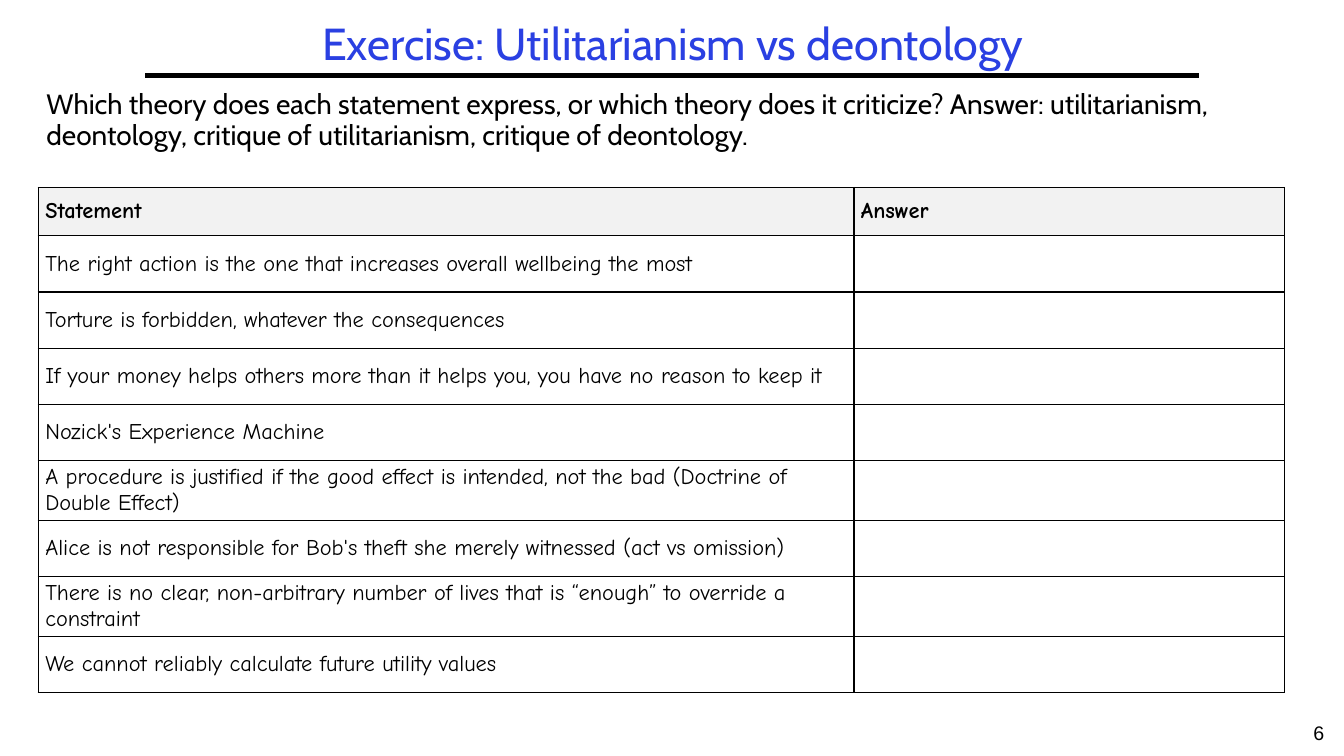
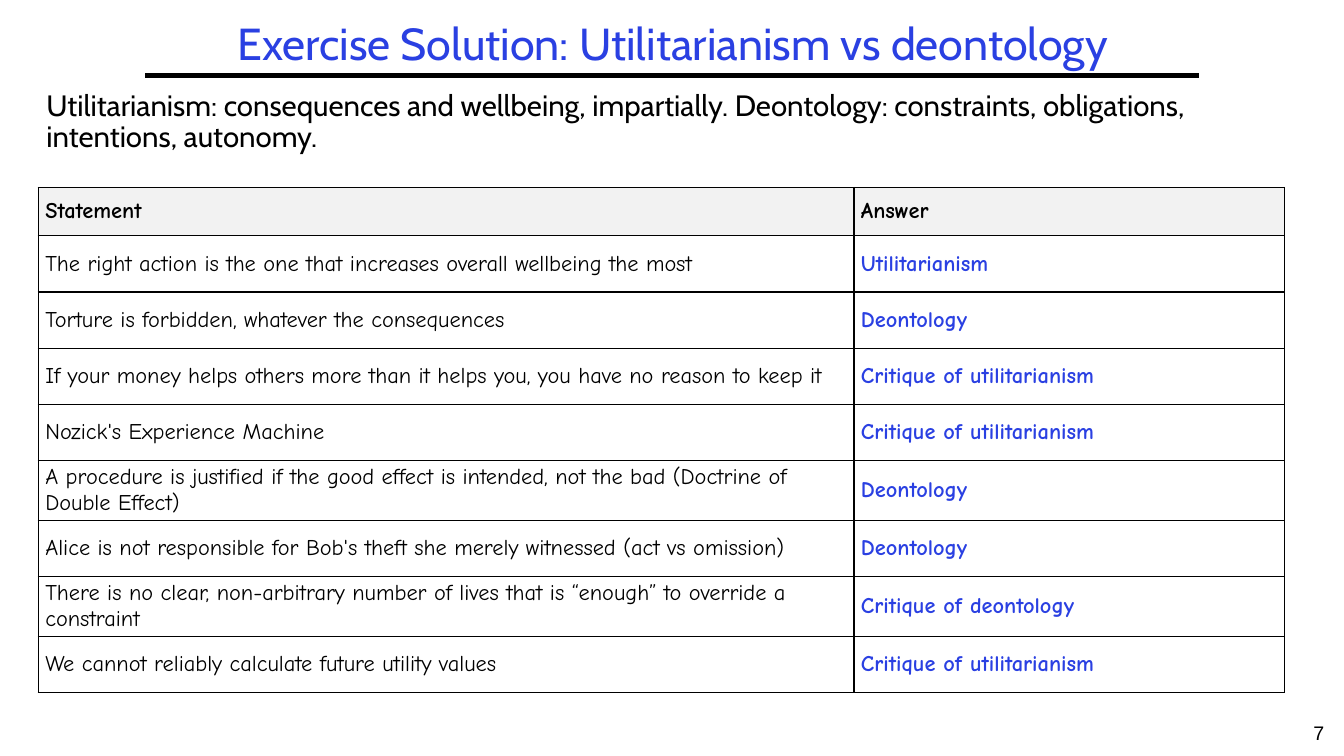
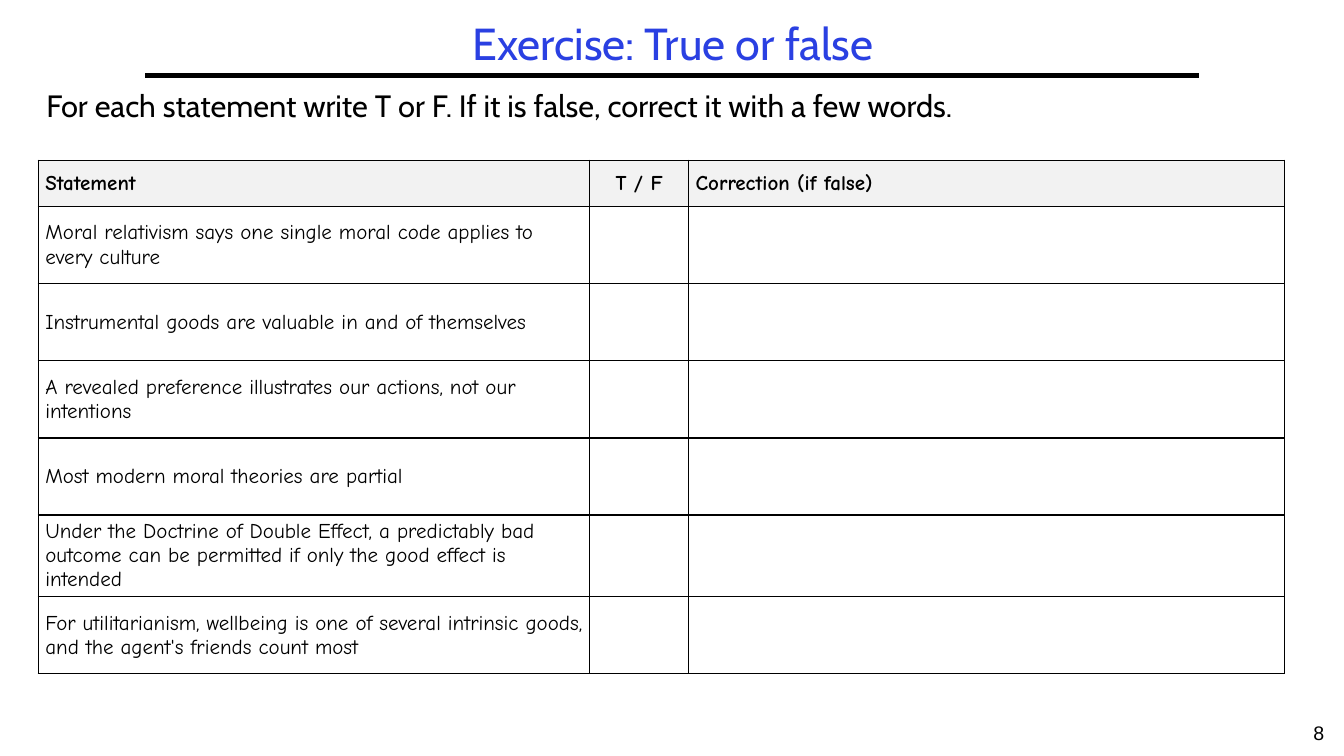
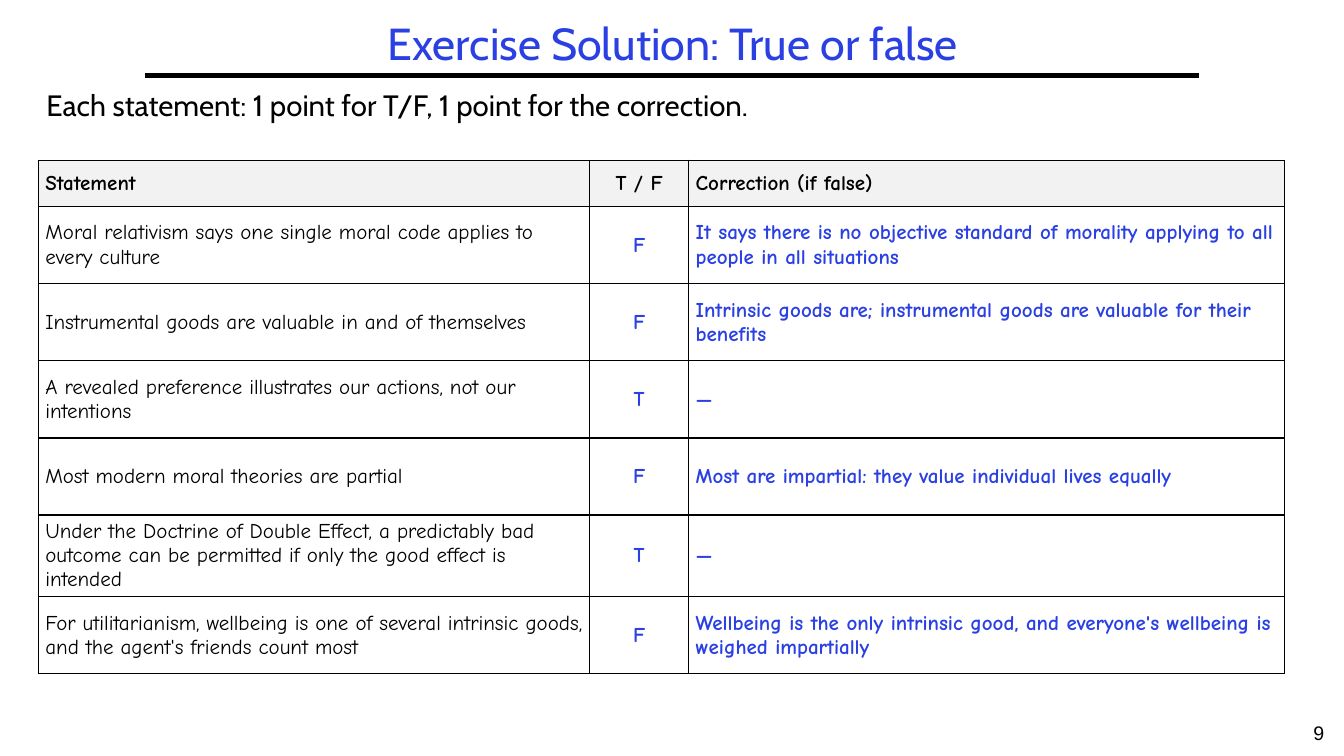
from lxml.etree import SubElement
from pptx import Presentation
from pptx.dml.color import RGBColor
from pptx.enum.shapes import MSO_CONNECTOR
from pptx.enum.text import MSO_ANCHOR, MSO_AUTO_SIZE, PP_ALIGN
from pptx.oxml.ns import qn
from pptx.util import Inches, Pt

COLORS = {"ink": "000000", "accent": "2A40E2", "header": "F2F2F2"}
FONTS = {"main": "Cabin", "table": "Comic Neue", "page": "Arial"}
FIRST_PAGE = 6


class Deck:
    """Holds the shared style and the current slide."""

    def __init__(self):
        self.prs = Presentation()
        self.prs.slide_width = Inches(13.33)
        self.prs.slide_height = Inches(7.5)
        self.slide = None

    def color(self, key):
        return RGBColor.from_string(COLORS[key])

    def place(self, shape, left, top, width, height):
        shape.left, shape.top = Inches(left), Inches(top)
        shape.width, shape.height = Inches(width), Inches(height)

    def add_text(self, paragraph, text, size, font, color="ink", bold=False,
                 align=PP_ALIGN.LEFT):
        paragraph.alignment = align
        run = paragraph.add_run()
        run.text = text
        run.font.size = Pt(size)
        run.font.name = FONTS[font]
        run.font.bold = bold
        run.font.color.rgb = self.color(color)

    def new_slide(self, title):
        self.slide = self.prs.slides.add_slide(self.prs.slide_layouts[1])
        self.title(title)
        self.title_rule()
        self.page_number(FIRST_PAGE + len(self.prs.slides) - 1)

    def title(self, text):
        heading = self.slide.shapes.title
        self.place(heading, 1.44, 0.17, 10.47, 0.58)
        frame = heading.text_frame
        frame.auto_size = MSO_AUTO_SIZE.NONE
        frame.vertical_anchor = MSO_ANCHOR.MIDDLE
        frame.paragraphs[0].line_spacing = 0.9
        self.add_text(frame.paragraphs[0], text, 32, "main", "accent", align=PP_ALIGN.CENTER)

    def title_rule(self):
        rule = self.slide.shapes.add_connector(
            MSO_CONNECTOR.STRAIGHT, Inches(1.44), Inches(0.75), Inches(11.89), Inches(0.75))
        rule.line.color.rgb = self.color("ink")
        rule.line.width = Pt(3)
        SubElement(rule._element.spPr, qn("a:effectLst"))

    def page_number(self, number):
        corner = self.slide.shapes.add_textbox(
            Inches(12.83), Inches(7.1), Inches(0.5), Inches(0.4))
        corner.text_frame.word_wrap = True
        self.add_text(corner.text_frame.paragraphs[0], str(number), 14, "page",
                      align=PP_ALIGN.CENTER)

    def instruction(self, text, size, height):
        task = self.slide.placeholders[1]
        self.place(task, 0.36, 0.85, 12.58, height)
        frame = task.text_frame
        frame.auto_size = MSO_AUTO_SIZE.NONE
        frame.vertical_anchor = MSO_ANCHOR.TOP
        paragraph = frame.paragraphs[0]
        paragraph.line_spacing = 0.9
        paragraph.space_before = Pt(0)
        properties = paragraph._p.get_or_add_pPr()
        properties.set("marL", "0")
        properties.set("indent", "0")
        SubElement(properties, qn("a:buNone"))
        self.add_text(paragraph, text, size, "main")

    def border(self, cell):
        properties = cell._tc.get_or_add_tcPr()
        for side in ("lnL", "lnR", "lnT", "lnB"):
            edge = SubElement(properties, qn(f"a:{side}"), w=str(Pt(1)))
            fill = SubElement(edge, qn("a:solidFill"))
            SubElement(fill, qn("a:srgbClr"), val=COLORS["ink"])

    def cell(self, cell, text, size, is_header, is_answer, align):
        cell.margin_left = cell.margin_right = Inches(0.07)
        cell.margin_top = cell.margin_bottom = Inches(0.03)
        cell.vertical_anchor = MSO_ANCHOR.MIDDLE
        self.border(cell)
        if is_header:
            cell.fill.solid()
            cell.fill.fore_color.rgb = self.color("header")
        else:
            cell.fill.background()
        if text:
            self.add_text(cell.text_frame.paragraphs[0], text, size, "table",
                          "accent" if is_answer else "ink", is_header or is_answer, align)

    def table(self, rows, top, height, header_height, widths, size, centered=()):
        grid = self.slide.shapes.add_table(
            len(rows), len(widths), Inches(0.38), Inches(top),
            Inches(sum(widths)), Inches(height)).table
        grid.first_row = grid.horz_banding = False
        for column, width in zip(grid.columns, widths):
            column.width = Inches(width)
        row_height = (height - header_height) / (len(rows) - 1)
        for r, texts in enumerate(rows):
            grid.rows[r].height = Inches(row_height if r else header_height)
            for c, text in enumerate(texts):
                align = PP_ALIGN.CENTER if c in centered else PP_ALIGN.LEFT
                self.cell(grid.cell(r, c), text, size, r == 0, r > 0 and c > 0, align)


THEORY_HEADER = ("Statement", "Answer")
THEORIES = [
    ("The right action is the one that increases overall wellbeing the most",
     "Utilitarianism"),
    ("Torture is forbidden, whatever the consequences", "Deontology"),
    ("If your money helps others more than it helps you, you have no reason to keep it",
     "Critique of utilitarianism"),
    ("Nozick's Experience Machine", "Critique of utilitarianism"),
    ("A procedure is justified if the good effect is intended, not the bad "
     "(Doctrine of Double Effect)", "Deontology"),
    ("Alice is not responsible for Bob's theft she merely witnessed (act vs omission)",
     "Deontology"),
    ("There is no clear, non-arbitrary number of lives that is “enough” to override "
     "a constraint", "Critique of deontology"),
    ("We cannot reliably calculate future utility values", "Critique of utilitarianism"),
]
THEORY_LAYOUT = dict(top=1.86, height=4.94, header_height=0.48, widths=(8.09, 4.27), size=16)

TRUTH_HEADER = ("Statement", "T / F", "Correction (if false)")
TRUTHS = [
    ("Moral relativism says one single moral code applies to every culture", "F",
     "It says there is no objective standard of morality applying to all people "
     "in all situations"),
    ("Instrumental goods are valuable in and of themselves", "F",
     "Intrinsic goods are; instrumental goods are valuable for their benefits"),
    ("A revealed preference illustrates our actions, not our intentions", "T", "—"),
    ("Most modern moral theories are partial", "F",
     "Most are impartial: they value individual lives equally"),
    ("Under the Doctrine of Double Effect, a predictably bad outcome can be permitted "
     "if only the good effect is intended", "T", "—"),
    ("For utilitarianism, wellbeing is one of several intrinsic goods, and the agent's "
     "friends count most", "F",
     "Wellbeing is the only intrinsic good, and everyone's wellbeing is weighed impartially"),
]
TRUTH_LAYOUT = dict(top=1.59, height=5.05, header_height=0.46, widths=(5.47, 0.98, 5.91),
                    size=15, centered=(1,))


def unanswered(rows):
    return [(statement, *[""] * len(answers)) for statement, *answers in rows]


def main():
    deck = Deck()

    # Theories: exercise and solution
    deck.new_slide("Exercise: Utilitarianism vs deontology")
    deck.instruction("Which theory does each statement express, or which theory does it "
                     "criticize? Answer: utilitarianism, deontology, critique of "
                     "utilitarianism, critique of deontology.", 20, 1.01)
    deck.table([THEORY_HEADER, *unanswered(THEORIES)], **THEORY_LAYOUT)

    deck.new_slide("Exercise Solution: Utilitarianism vs deontology")
    deck.instruction("Utilitarianism: consequences and wellbeing, impartially. Deontology: "
                     "constraints, obligations, intentions, autonomy.", 21, 1.01)
    deck.table([THEORY_HEADER, *THEORIES], **THEORY_LAYOUT)

    # True or false: exercise and solution
    deck.new_slide("Exercise: True or false")
    deck.instruction("For each statement write T or F. If it is false, correct it with "
                     "a few words.", 22, 0.73)
    deck.table([TRUTH_HEADER, *unanswered(TRUTHS)], **TRUTH_LAYOUT)

    deck.new_slide("Exercise Solution: True or false")
    deck.instruction("Each statement: 1 point for T/F, 1 point for the correction.", 21, 0.73)
    deck.table([TRUTH_HEADER, *TRUTHS], **TRUTH_LAYOUT)

    deck.prs.save("out.pptx")


if __name__ == "__main__":
    main()
